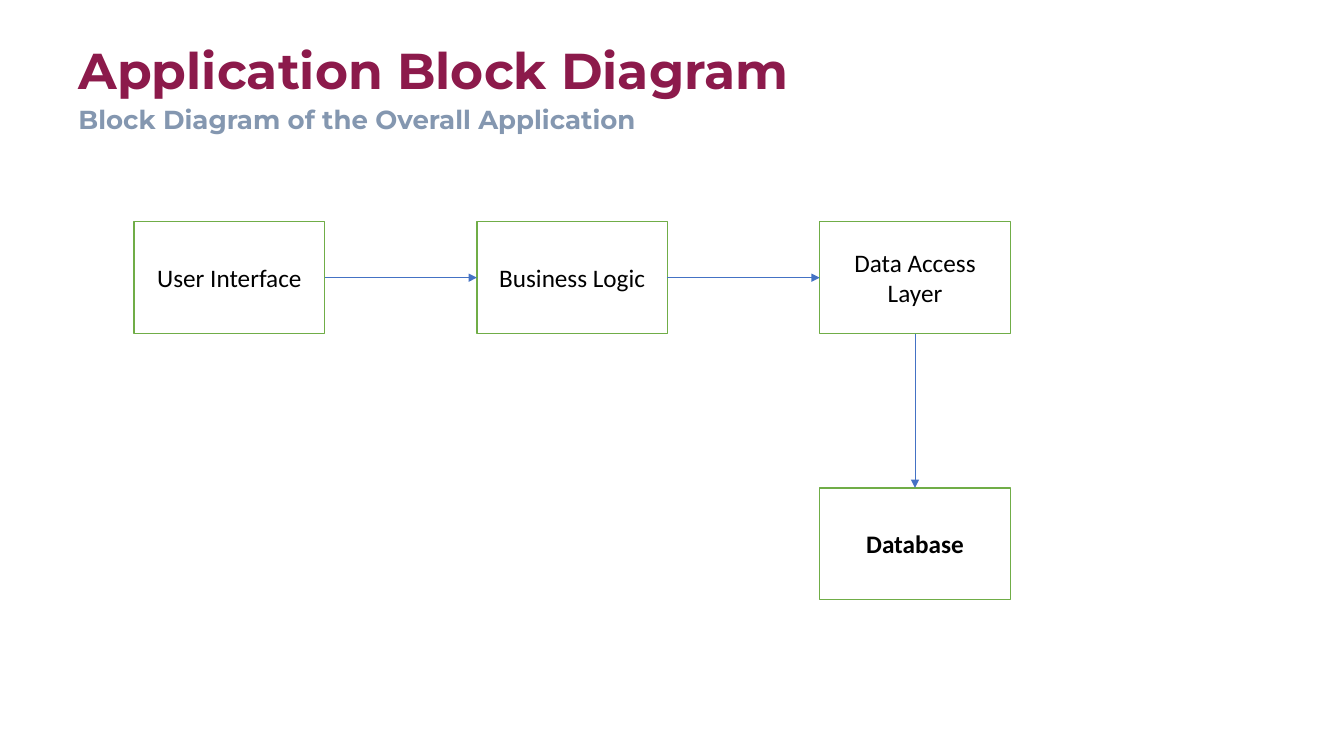
from dataclasses import dataclass

import pptx
import pptx.dml.color
import pptx.enum.shapes
import pptx.enum.text
import pptx.oxml
import pptx.oxml.ns
import pptx.shapes.autoshape
import pptx.slide
import pptx.text.text
import pptx.util

Inches = pptx.util.Inches
Pt = pptx.util.Pt
RGBColor = pptx.dml.color.RGBColor
Anchor = pptx.enum.text.MSO_ANCHOR
Align = pptx.enum.text.PP_ALIGN

MAROON = RGBColor(0x8C, 0x1A, 0x4B)
SLATE = RGBColor(0x84, 0x97, 0xB0)
GREEN = RGBColor(0x70, 0xAD, 0x47)
BLUE = RGBColor(0x44, 0x72, 0xC4)
WHITE = RGBColor(0xFF, 0xFF, 0xFF)
BLACK = RGBColor(0x00, 0x00, 0x00)

BLOCK_WIDTH, BLOCK_HEIGHT = 1.89, 1.11
FIRST_LEFT, COLUMN_STEP = 1.33, 3.4
FIRST_TOP, ROW_STEP = 2.2, 2.64
TOP, LEFT, BOTTOM, RIGHT = range(4)


@dataclass(frozen=True)
class Block:
    label: str
    column: int
    row: int
    bold: bool = False


@dataclass(frozen=True)
class Flow:
    source: str
    source_side: int
    target: str
    target_side: int


BLOCKS = [
    Block("User Interface", 0, 0),
    Block("Business Logic", 1, 0),
    Block("Data Access Layer", 2, 0),
    Block("Database", 2, 1, bold=True),
]
FLOWS = [
    Flow("User Interface", RIGHT, "Business Logic", LEFT),
    Flow("Business Logic", RIGHT, "Data Access Layer", LEFT),
    Flow("Data Access Layer", BOTTOM, "Database", TOP),
]


def write_text(frame: pptx.text.text.TextFrame, text: str, font_name: str, size: float,
               color: RGBColor, bold: bool, anchor: Anchor, align: Align,
               line_spacing: float = 1.0) -> None:
    frame.text = text
    frame.word_wrap = True
    frame.auto_size = pptx.enum.text.MSO_AUTO_SIZE.NONE
    frame.vertical_anchor = anchor
    paragraph = frame.paragraphs[0]
    paragraph.alignment = align
    paragraph.line_spacing = line_spacing
    paragraph.space_before = Pt(0)
    font = paragraph.runs[0].font
    font.name = font_name
    font.size = Pt(size)
    font.bold = bold
    font.color.rgb = color


def draw_headings(slide: pptx.slide.Slide) -> None:
    title = slide.shapes.title
    title.left, title.top = Inches(0.68), Inches(0.13)
    title.width, title.height = Inches(11.87), Inches(0.92)
    write_text(title.text_frame, "Application Block Diagram", "Montserrat", 36,
               MAROON, True, Anchor.BOTTOM, Align.LEFT, 0.9)
    subtitle = slide.shapes.add_textbox(Inches(0.68), Inches(1.05), Inches(11.87), Inches(0.33))
    write_text(subtitle.text_frame, "Block Diagram of the Overall Application", "Montserrat", 18.6,
               SLATE, True, Anchor.MIDDLE, Align.LEFT, 0.7)


def draw_block(slide: pptx.slide.Slide, block: Block) -> pptx.shapes.autoshape.Shape:
    box = slide.shapes.add_shape(
        pptx.enum.shapes.MSO_SHAPE.RECTANGLE,
        Inches(FIRST_LEFT + block.column * COLUMN_STEP),
        Inches(FIRST_TOP + block.row * ROW_STEP),
        Inches(BLOCK_WIDTH), Inches(BLOCK_HEIGHT))
    box.shadow.inherit = False
    box.fill.solid()
    box.fill.fore_color.rgb = WHITE
    box.line.color.rgb = GREEN
    box.line.width = Pt(1)
    write_text(box.text_frame, block.label, "Calibri", 18, BLACK, block.bold,
               Anchor.MIDDLE, Align.CENTER)
    return box


def draw_flow(slide: pptx.slide.Slide, flow: Flow,
              boxes: dict[str, pptx.shapes.autoshape.Shape]) -> None:
    arrow = slide.shapes.add_connector(pptx.enum.shapes.MSO_CONNECTOR.STRAIGHT, 0, 0, 0, 0)
    arrow.begin_connect(boxes[flow.source], flow.source_side)
    arrow.end_connect(boxes[flow.target], flow.target_side)
    arrow.line.color.rgb = BLUE
    arrow.line.width = Pt(0.5)
    properties = arrow.element.spPr
    line = properties.find(pptx.oxml.ns.qn("a:ln"))
    namespace = pptx.oxml.ns.nsdecls("a")
    line.append(pptx.oxml.parse_xml(f'<a:tailEnd {namespace} type="triangle"/>'))
    properties.append(pptx.oxml.parse_xml(f"<a:effectLst {namespace}/>"))


def main() -> None:
    presentation = pptx.Presentation()
    presentation.slide_width = Inches(13.33)
    presentation.slide_height = Inches(7.5)
    slide = presentation.slides.add_slide(presentation.slide_layouts.get_by_name("Title Only"))
    draw_headings(slide)
    boxes = {block.label: draw_block(slide, block) for block in BLOCKS}
    for flow in FLOWS:
        draw_flow(slide, flow, boxes)
    presentation.save("out.pptx")


if __name__ == "__main__":
    main()
